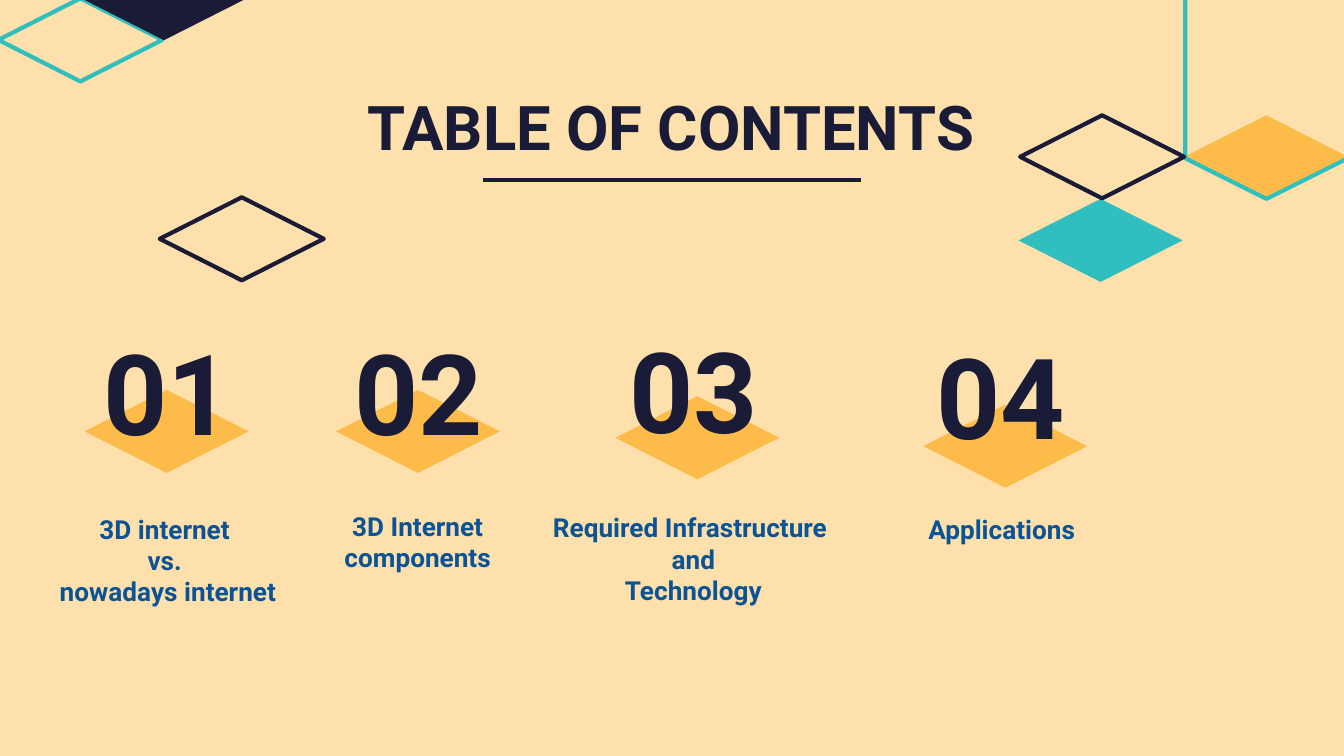
from lxml.etree import SubElement
from pptx import Presentation
from pptx.dml.color import RGBColor
from pptx.enum.shapes import MSO_CONNECTOR, MSO_SHAPE
from pptx.enum.text import MSO_ANCHOR, PP_ALIGN
from pptx.oxml.ns import qn
from pptx.util import Cm, Pt

COLORS = {"sand": "FDE0AC", "gold": "FDBC4A", "navy": "1A1B36",
          "teal": "31BEBE", "blue": "0B5394"}
FORMATS = {
    "title": {"size": Pt(33), "color": "navy", "anchor": MSO_ANCHOR.BOTTOM},
    "number": {"size": Pt(60), "color": "navy", "anchor": MSO_ANCHOR.MIDDLE},
    "label": {"size": Pt(14), "color": "blue", "anchor": MSO_ANCHOR.TOP},
}
WIDE, TALL = 3.1, 1.57


class Deck:
    """Draw styled elements on the current slide."""

    def __init__(self, show):
        self.slide = show.slides.add_slide(show.slide_layouts[6])
        self.items = self.slide.shapes
        self.font = {"name": "Roboto", "bold": True}
        fill = self.slide.background.fill
        fill.solid()
        fill.fore_color.rgb = self.tint("sand")

    def tint(self, name):
        return RGBColor.from_string(COLORS[name])

    def stroke(self, item, color):
        item.line.color.rgb = self.tint(color)
        item.line.width = Pt(2.25)
        SubElement(item.element.spPr.find(qn("a:ln")), qn("a:round"))

    def shape(self, kind, box, fill=None, line=None, turn=0):
        item = self.items.add_shape(kind, *map(Cm, box))
        item.shadow.inherit = False
        item.rotation = turn
        if fill:
            item.fill.solid()
            item.fill.fore_color.rgb = self.tint(fill)
        else:
            item.fill.background()
        if line:
            self.stroke(item, line)
        else:
            item.line.fill.background()

    def diamond(self, left, top, **look):
        self.shape(MSO_SHAPE.DIAMOND, (left, top, WIDE, TALL), **look)

    def rule(self, left, right, top, color):
        ends = map(Cm, (left, top, right, top))
        item = self.items.add_connector(MSO_CONNECTOR.STRAIGHT, *ends)
        self.stroke(item, color)
        SubElement(item.element.spPr, qn("a:effectLst"))

    def text(self, box, lines, style):
        form = FORMATS[style]
        frame = self.items.add_textbox(*map(Cm, box)).text_frame
        layout = {"word_wrap": True, "vertical_anchor": form["anchor"]}
        for side in ("left", "right", "top", "bottom"):
            layout[f"margin_{side}"] = Cm(0.25)
        for key, value in layout.items():
            setattr(frame, key, value)
        frame.text = lines
        for para in frame.paragraphs:
            para.alignment = PP_ALIGN.CENTER
            for run in para.runs:
                for key, value in {**self.font, "size": form["size"]}.items():
                    setattr(run.font, key, value)
                run.font.color.rgb = self.tint(form["color"])


def main():
    show = Presentation()
    show.slide_width, show.slide_height = Cm(25.4), Cm(14.29)
    deck = Deck(show)

    deck.diamond(22.38, 2.18, fill="gold")
    deck.text((1.7, 1.65, 21.97, 1.68), "TABLE OF CONTENTS", "title")
    deck.rule(9.12, 16.28, 3.4, "navy")

    deck.diamond(3.02, 3.73, line="navy")
    deck.diamond(-0.03, -0.03, line="teal")
    deck.diamond(1.55, -0.81, fill="navy")
    deck.shape(MSO_SHAPE.HEXAGON, (21.18, -0.53, 5.51, 3.07),
               line="teal", turn=90)
    deck.diamond(19.25, 3.76, fill="teal")
    deck.diamond(19.28, 2.18, line="navy")

    topics = [
        ("3D internet \nvs. \nnowadays internet",
         (1.6, 7.37), (1.02, 6.35), (0.56, 9.45, 5.23)),
        ("3D Internet components",
         (6.35, 7.37), (5.77, 6.35), (5.28, 9.4, 5.23)),
        ("Required Infrastructure \vand\vTechnology",
         (11.63, 7.49), (10.97, 6.32), (9.98, 9.42, 6.25)),
        ("Applications ",
         (17.45, 7.65), (16.76, 6.43), (16.38, 9.45, 5.23)),
    ]
    for count, (topic, gem, digit, label) in enumerate(topics, 1):
        deck.diamond(*gem, fill="gold")
        deck.text((*digit, 4.29, 2.06), f"{count:02}", "number")
        deck.text((*label, 1.68), topic, "label")

    show.save("out.pptx")


if __name__ == "__main__":
    main()
